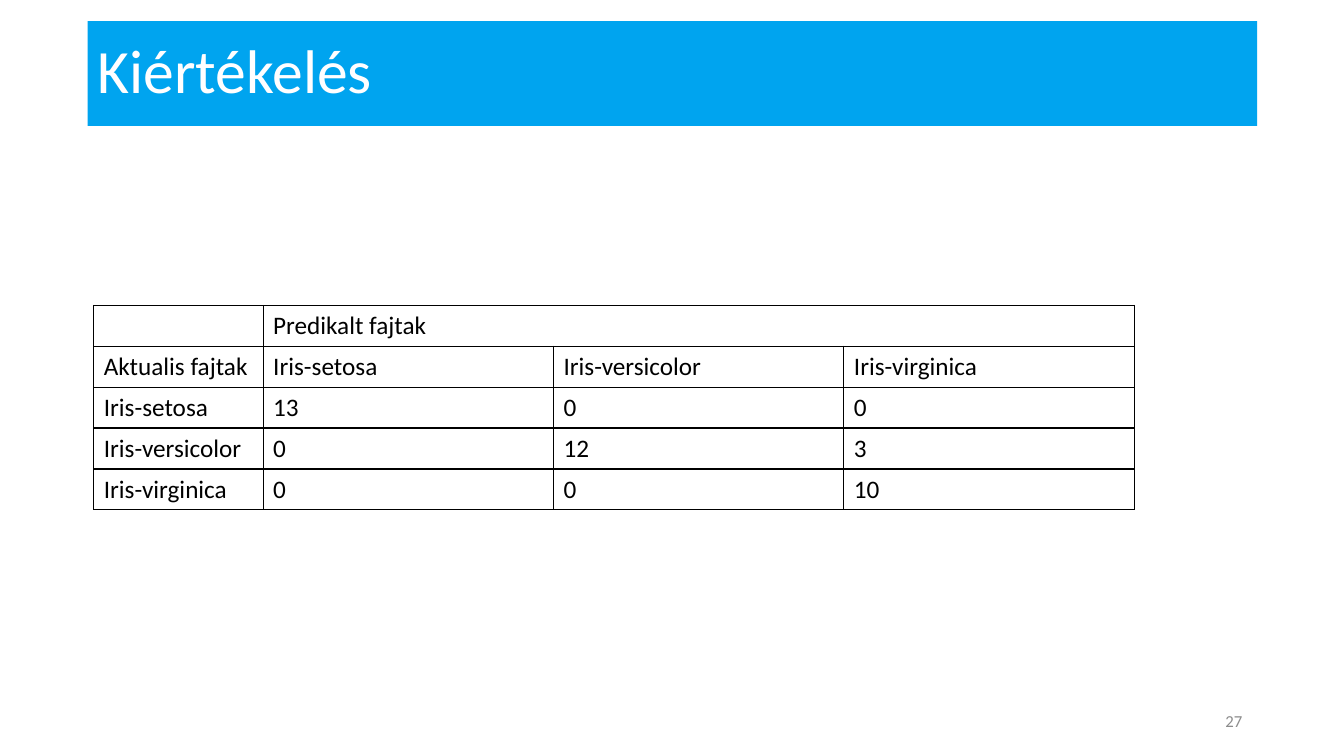
from lxml import etree
from pptx import Presentation
from pptx.dml.color import RGBColor
from pptx.enum import shapes, text
from pptx.oxml.ns import qn
from pptx.util import Inches, Pt

TITLE = "Kiértékelés"
PAGE_NUMBER = "27"
CONFUSION_MATRIX = [
    ("", "Predikalt fajtak", "", ""),
    ("Aktualis fajtak", "Iris-setosa", "Iris-versicolor", "Iris-virginica"),
    ("Iris-setosa", "13", "0", "0"),
    ("Iris-versicolor", "0", "12", "3"),
    ("Iris-virginica", "0", "0", "10"),
]
LABEL_WIDTH, VALUE_WIDTH, ROW_HEIGHT = 1.68, 2.88, 0.4


class Theme:
    font = "Calibri"
    banner = "00A4EF"
    title = "FFFEFF"
    ink = "000000"
    muted = "8C8C8C"
    title_size = 44
    table_size = 18
    number_size = 12
    border_width = 1


def box(left, top, width, height):
    return [Inches(length) for length in (left, top, width, height)]


def write(frame, words, size, color, align=text.PP_ALIGN.LEFT):
    frame.vertical_anchor = text.MSO_ANCHOR.MIDDLE
    paragraph = frame.paragraphs[0]
    paragraph.alignment = align
    if words:
        run = paragraph.add_run()
        run.text = words
        run.font.name = Theme.font
        run.font.size = Pt(size)
        run.font.color.rgb = RGBColor.from_string(color)
    return paragraph


def outline(cell):
    """Draw a thin line on all four sides of a table cell."""
    properties = cell._tc.get_or_add_tcPr()
    for side in ("lnL", "lnR", "lnT", "lnB"):
        line = etree.SubElement(properties, qn(f"a:{side}"), w=str(Pt(Theme.border_width)))
        fill = etree.SubElement(line, qn("a:solidFill"))
        etree.SubElement(fill, qn("a:srgbClr"), val=Theme.ink)


def add_title(slide):
    title = slide.shapes.title
    title.left, title.top, title.width, title.height = box(0.87, 0.21, 10.47, 1.04)
    title.text_frame.auto_size = text.MSO_AUTO_SIZE.NONE
    paragraph = write(title.text_frame, TITLE, Theme.title_size, Theme.title)
    paragraph.line_spacing = 0.9

    banner = slide.shapes.add_shape(shapes.MSO_SHAPE.RECTANGLE, *box(0.87, 0.21, 11.6, 1.04))
    banner.shadow.inherit = False
    banner.fill.solid()
    banner.fill.fore_color.rgb = RGBColor.from_string(Theme.banner)
    banner.line.fill.background()
    title.element.addprevious(banner.element)


def add_matrix(slide):
    rows, columns = len(CONFUSION_MATRIX), len(CONFUSION_MATRIX[0])
    widths = [LABEL_WIDTH] + [VALUE_WIDTH] * (columns - 1)
    frame = slide.shapes.add_table(
        rows, columns, *box(0.93, 3.03, sum(widths), rows * ROW_HEIGHT))
    table = frame.table
    table.first_row = table.horz_banding = False
    for column, width in zip(table.columns, widths):
        column.width = Inches(width)
    table.cell(0, 1).merge(table.cell(0, columns - 1))
    for row, values in zip(table.rows, CONFUSION_MATRIX):
        for cell, value in zip(row.cells, values):
            outline(cell)
            cell.fill.background()
            cell.vertical_anchor = text.MSO_ANCHOR.MIDDLE
            write(cell.text_frame, value, Theme.table_size, Theme.ink)


def add_page_number(slide):
    frame = slide.shapes.add_textbox(*box(9.42, 6.95, 3, 0.4)).text_frame
    frame.word_wrap = True
    write(frame, PAGE_NUMBER, Theme.number_size, Theme.muted, text.PP_ALIGN.RIGHT)


def main():
    presentation = Presentation()
    presentation.slide_width, presentation.slide_height = Inches(13.33), Inches(7.5)
    slide = presentation.slides.add_slide(presentation.slide_layouts.get_by_name("Title Only"))
    add_title(slide)
    add_matrix(slide)
    add_page_number(slide)
    presentation.save("out.pptx")


if __name__ == "__main__":
    main()
